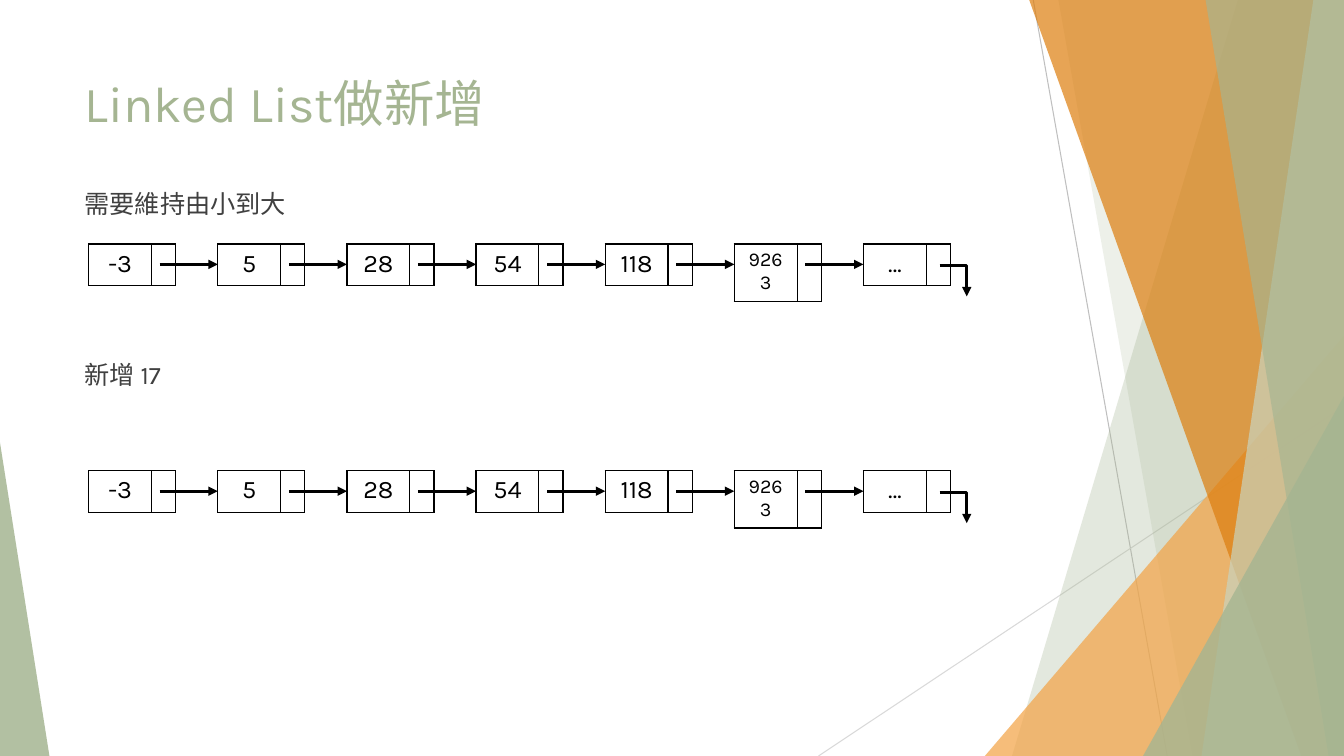
from dataclasses import dataclass

from lxml.etree import SubElement
from pptx import Presentation
from pptx.dml.color import RGBColor
from pptx.enum.shapes import MSO_CONNECTOR as Route, MSO_SHAPE as Preset
from pptx.enum.text import MSO_ANCHOR, PP_ALIGN
from pptx.oxml.ns import qn
from pptx.util import Inches, Pt


@dataclass(frozen=True)
class Theme:
    font: str = "Karla"
    sage: str = "A5B592"
    pale_sage: str = "C9D3BE"
    amber: str = "F3A447"
    orange: str = "DD7E0E"
    ink: str = "000000"
    body: str = "404040"
    grey: str = "BFBFBF"
    light_grey: str = "D9D9D9"
    title_size: int = 36
    text_size: int = 18
    long_value_size: int = 14
    hairline: float = 0.75
    border: float = 1
    link: float = 2.25


@dataclass(frozen=True)
class Box:
    left: int
    top: int
    width: int
    height: int

    def point(self, column, row):
        return (int(self.left + self.width * column / 100),
                int(self.top + self.height * row / 100))

    def area(self, column, row, columns, rows):
        return Box(*self.point(column, row),
                   int(self.width * columns / 100), int(self.height * rows / 100))

    def bounds(self):
        return self.left, self.top, self.width, self.height


THEME = Theme()
VALUES = ["-3", "5", "28", "54", "118", "9263", "…"]


def paint(shape, color, opacity):
    shape.shadow.inherit = False
    shape.line.fill.background()
    shape.fill.solid()
    shape.fill.fore_color.rgb = RGBColor.from_string(color)
    tint = shape._element.spPr.find(qn("a:solidFill"))[0]
    SubElement(tint, qn("a:alpha"), val=str(opacity * 1000))


def style_text(frame, text, size, color, align=PP_ALIGN.LEFT):
    frame.text = text
    paragraph = frame.paragraphs[0]
    paragraph.alignment = align
    font = paragraph.runs[0].font
    font.name, font.size = THEME.font, Pt(size)
    font.color.rgb = RGBColor.from_string(color)


def draw_line(slide, start, end, color, weight, route=Route.STRAIGHT, arrow=False):
    connector = slide.shapes.add_connector(route, *start, *end)
    connector.line.color.rgb = RGBColor.from_string(color)
    connector.line.width = Pt(weight)
    properties = connector._element.spPr
    if arrow:
        SubElement(properties.find(qn("a:ln")), qn("a:tailEnd"), type="triangle")
    if route == Route.ELBOW:
        properties.find(qn("a:prstGeom")).set("prst", "bentConnector2")
    SubElement(properties, qn("a:effectLst"))


def draw_band(slide, box, top_column, bottom_column, color, opacity):
    corners = [box.point(*corner) for corner in
               [(top_column, 0), (100, 0), (100, 100), (bottom_column, 100)]]
    outline = slide.shapes.build_freeform(*corners[0], scale=1.0)
    outline.add_line_segments(corners[1:], close=True)
    paint(outline.convert_to_shape(), color, opacity)


def draw_wedge(slide, box, apex, color, opacity):
    wedge = slide.shapes.add_shape(Preset.ISOSCELES_TRIANGLE, *box.bounds())
    wedge.adjustments[0] = apex
    paint(wedge, color, opacity)


def draw_backdrop(slide, box):
    for start, end, color in [((76.88, 0), (86.85, 100), THEME.grey),
                              ((100, 53.73), (60.9, 100), THEME.light_grey)]:
        draw_line(slide, box.point(*start), box.point(*end), color, THEME.hairline)
    draw_band(slide, box, 92.1, 75.3, THEME.sage, 30)
    draw_band(slide, box, 78.75, 88.72, THEME.sage, 20)
    draw_wedge(slide, box.area(73.28, 44.4, 26.72, 55.6), 1, THEME.amber, 72)
    draw_band(slide, box, 76.58, 96.82, THEME.orange, 70)
    draw_band(slide, box, 97.72, 89.4, THEME.pale_sage, 70)
    draw_band(slide, box, 89.7, 98.85, THEME.sage, 65)
    draw_wedge(slide, box.area(85.05, 52.4, 14.95, 47.6), 1, THEME.sage, 80)
    draw_wedge(slide, box.area(0, 58.53, 3.68, 41.47), 0, THEME.sage, 85)


def draw_text(slide, box, text, size, color):
    frame = slide.shapes.add_textbox(*box.bounds()).text_frame
    frame.word_wrap = True
    frame.vertical_anchor = MSO_ANCHOR.TOP
    style_text(frame, text, size, color)


def outline_cell(cell):
    properties = cell._tc.get_or_add_tcPr()
    for side in ("a:lnL", "a:lnR", "a:lnT", "a:lnB"):
        edge = SubElement(properties, qn(side), w=str(Pt(THEME.border)))
        SubElement(SubElement(edge, qn("a:solidFill")), qn("a:srgbClr"), val=THEME.ink)
    cell.fill.background()


def draw_node(slide, box, value):
    node = slide.shapes.add_table(1, 2, *box.bounds()).table
    node.first_row = node.horz_banding = False
    for column, share in zip(node.columns, (0.73, 0.27)):
        column.width = int(box.width * share)
    for cell in node.iter_cells():
        outline_cell(cell)
    size = THEME.long_value_size if len(value) > 3 else THEME.text_size
    style_text(node.cell(0, 0).text_frame, value, size, THEME.ink, PP_ALIGN.CENTER)


def draw_chain(slide, box, values):
    pitch = 100 / (len(values) - 0.2)
    for index, value in enumerate(values):
        draw_node(slide, box.area(index * pitch, 0, pitch * 2 / 3, 79), value)
    for index in range(len(values) - 1):
        draw_line(slide, box.point((index + 0.55) * pitch, 39),
                  box.point((index + 1) * pitch, 39), THEME.ink, THEME.link, arrow=True)
    draw_line(slide, box.point((len(values) - 0.41) * pitch, 41), box.point(100, 100),
              THEME.ink, THEME.link, Route.ELBOW, arrow=True)


def draw_insertion_slide(slide, box):
    draw_backdrop(slide, box)
    draw_text(slide, box.area(5.55, 8.93, 70.5, 12.4), "Linked List做新增",
              THEME.title_size, THEME.sage)
    for row, note in [(24.27, "需要維持由小到大"), (46.93, "新增 17")]:
        draw_text(slide, box.area(5.55, row, 19.05, 5.73), note,
                  THEME.text_size, THEME.body)
    for row in (32.27, 62.27):
        draw_chain(slide, box.area(6.6, row, 65.33, 6.93), VALUES)


deck = Presentation()
deck.slide_width, deck.slide_height = Inches(13.33), Inches(7.5)
insertion = deck.slides.add_slide(deck.slide_layouts[6])
draw_insertion_slide(insertion, Box(0, 0, deck.slide_width, deck.slide_height))
deck.save("out.pptx")
